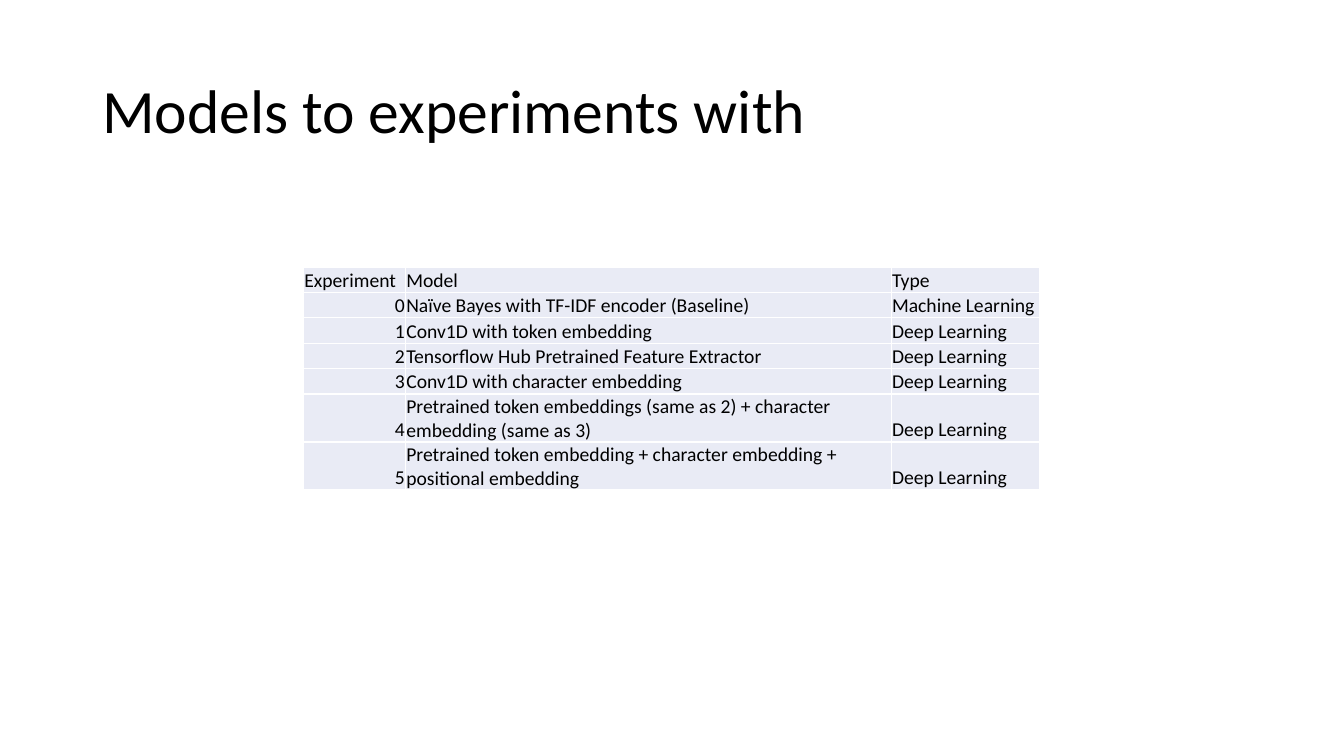
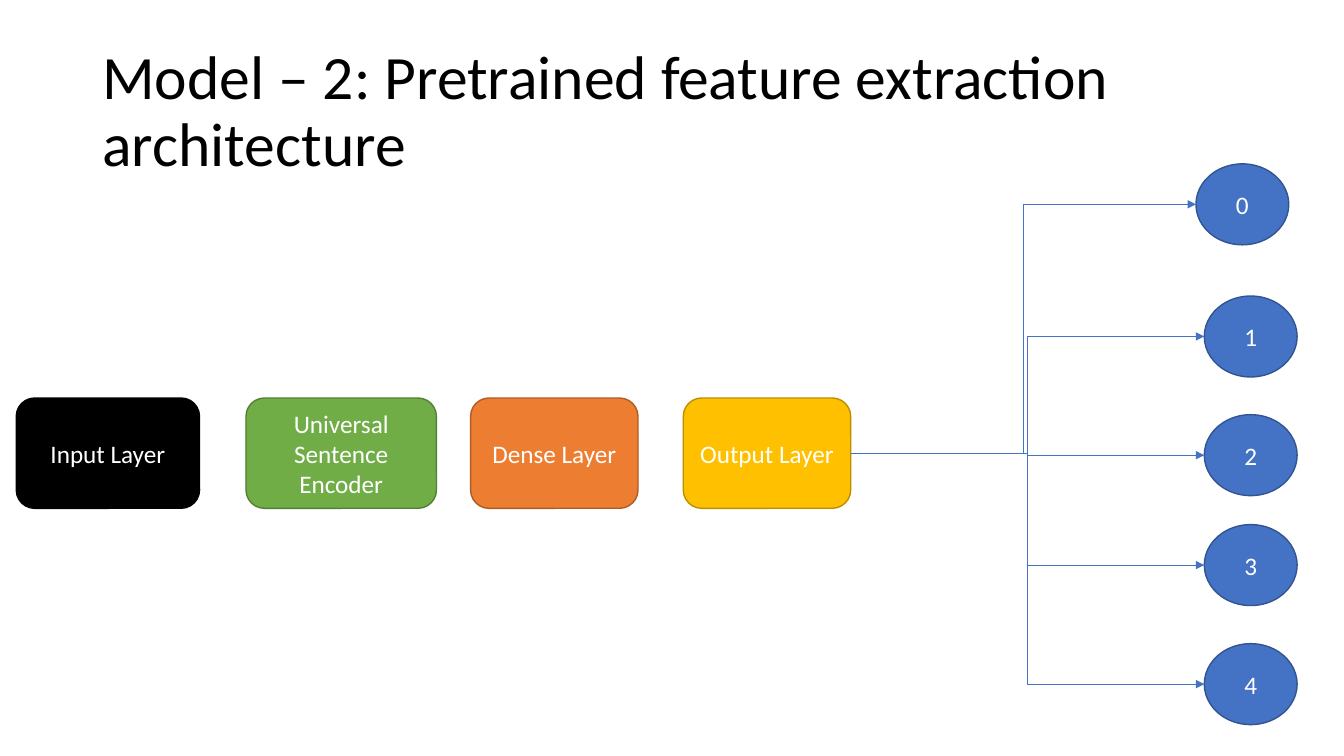
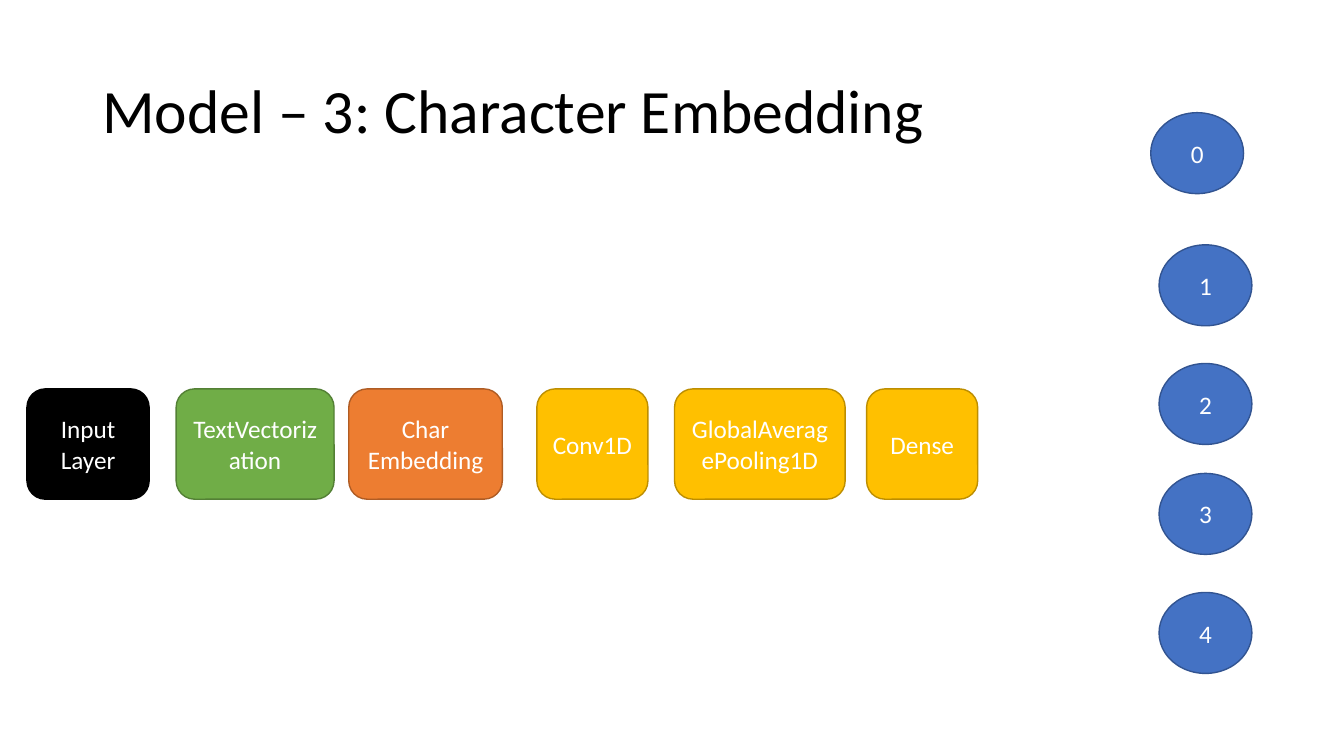
from dataclasses import dataclass

from pptx import Presentation
from pptx.dml.color import RGBColor
from pptx.enum.shapes import MSO_CONNECTOR, MSO_SHAPE
from pptx.enum.text import MSO_ANCHOR as Anchor, PP_ALIGN as Align
from pptx.oxml.ns import qn
from pptx.shapes.autoshape import Shape
from pptx.slide import Slide
from pptx.table import _Cell as Cell
from pptx.text.text import TextFrame
from pptx.util import Cm, Pt
from lxml.etree import SubElement

FONT = "Calibri"
BLACK, WHITE, TABLE_FILL = "000000", "FFFFFF", "E9EBF5"


@dataclass(frozen=True)
class Palette:
    """Fill and outline colours of a diagram shape."""
    fill: str
    line: str


INPUT = Palette(BLACK, BLACK)
GREEN = Palette("70AD47", "538035")
ORANGE = Palette("ED7D31", "AF5C24")
YELLOW = Palette("FFC000", "BD8E00")
BLUE = Palette("4472C4", "325491")


@dataclass(frozen=True)
class Layer:
    """A network layer in a row: label, left edge and width in cm."""
    label: str
    left: float
    width: float
    palette: Palette


LAYER_HEIGHT = 2.78
CLASS_WIDTH, CLASS_HEIGHT = 2.34, 2.04
# Offsets in cm of each output class from the first one
CLASS_OFFSETS = [(0, 0), (0.21, 3.33), (0.21, 6.32), (0.21, 9.09), (0.21, 12.09)]
RIGHT_SITE, OVAL_LEFT_SITE = 3, 2

FEATURE_LAYERS = [
    Layer("Input Layer", 0.41, 4.62, INPUT),
    Layer("Universal Sentence Encoder", 6.2, 4.8, GREEN),
    Layer("Dense Layer", 11.86, 4.22, ORANGE),
    Layer("Output Layer", 17.22, 4.22, YELLOW),
]
CHARACTER_LAYERS = [
    Layer("Input Layer", 0.68, 3.08, INPUT),
    Layer("TextVectorization", 4.44, 3.98, GREEN),
    Layer("Char Embedding", 8.79, 3.87, ORANGE),
    Layer("Conv1D", 13.53, 2.8, YELLOW),
    Layer("GlobalAveragePooling1D", 17, 4.3, YELLOW),
    Layer("Dense", 21.84, 2.8, YELLOW),
]

COLUMN_WIDTHS = [2.57, 12.24, 3.74]
ROW_HEIGHT = 0.64
HEADER = ("Experiment", "Model", "Type")
MODELS = [
    ("Naïve Bayes with TF-IDF encoder (Baseline)", "Machine Learning"),
    ("Conv1D with token embedding", "Deep Learning"),
    ("Tensorflow Hub Pretrained Feature Extractor", "Deep Learning"),
    ("Conv1D with character embedding", "Deep Learning"),
    ("Pretrained token embeddings (same as 2) + character embedding (same as 3)",
     "Deep Learning"),
    ("Pretrained token embedding + character embedding + positional embedding",
     "Deep Learning"),
]


def color(value: str) -> RGBColor:
    """Turn a hex string into a colour."""
    return RGBColor.from_string(value)


def write(frame: TextFrame, text: str, size: float, ink: str,
          align: Align = Align.LEFT) -> None:
    """Set one paragraph of text and format it."""
    frame.text = text
    frame.word_wrap = True
    paragraph = frame.paragraphs[0]
    paragraph.alignment = align
    font = paragraph.runs[0].font
    font.name, font.size = FONT, Pt(size)
    font.color.rgb = color(ink)


def add_titled_slide(presentation: Presentation, title: str) -> Slide:
    """Add a blank slide with the shared title style."""
    slide = presentation.slides.add_slide(presentation.slide_layouts[6])
    box = slide.shapes.add_textbox(Cm(2.33), Cm(1.01), Cm(29.21), Cm(3.68))
    frame = box.text_frame
    write(frame, title, 44, BLACK)
    frame.vertical_anchor = Anchor.MIDDLE
    frame.paragraphs[0].line_spacing = 0.9
    return slide


def add_node(slide: Slide, kind: MSO_SHAPE, left: float, top: float,
             width: float, height: float, label: str, palette: Palette) -> Shape:
    """Draw a labelled diagram shape."""
    shape = slide.shapes.add_shape(kind, Cm(left), Cm(top), Cm(width), Cm(height))
    shape.shadow.inherit = False
    shape.fill.solid()
    shape.fill.fore_color.rgb = color(palette.fill)
    shape.line.color.rgb = color(palette.line)
    shape.line.width = Pt(1)
    write(shape.text_frame, label, 18, WHITE, Align.CENTER)
    shape.text_frame.vertical_anchor = Anchor.MIDDLE
    return shape


def add_layers(slide: Slide, layers: list[Layer], top: float) -> list[Shape]:
    """Draw a row of network layers."""
    return [add_node(slide, MSO_SHAPE.ROUNDED_RECTANGLE, layer.left, top,
                     layer.width, LAYER_HEIGHT, layer.label, layer.palette)
            for layer in layers]


def add_classes(slide: Slide, left: float, top: float) -> list[Shape]:
    """Draw the column of numbered output classes."""
    return [add_node(slide, MSO_SHAPE.OVAL, left + across, top + down,
                     CLASS_WIDTH, CLASS_HEIGHT, str(number), BLUE)
            for number, (across, down) in enumerate(CLASS_OFFSETS)]


def add_arrow(slide: Slide, layer: Shape, oval: Shape) -> None:
    """Join the right side of a layer to the left side of an oval."""
    connector = slide.shapes.add_connector(MSO_CONNECTOR.ELBOW, 0, 0, 0, 0)
    connector.begin_connect(layer, RIGHT_SITE)
    connector.end_connect(oval, OVAL_LEFT_SITE)
    # Ovals have eight sites, so the end point is placed explicitly
    connector.end_x = oval.left
    connector.end_y = oval.top + oval.height // 2
    connector.line.color.rgb = color(BLUE.fill)
    connector.line.width = Pt(0.5)
    SubElement(connector.get_or_add_ln(), qn("a:tailEnd"), type="triangle")
    SubElement(connector._element.spPr, qn("a:effectLst"))


def style_cell(cell: Cell, text: str, align: Align) -> None:
    """Fill a table cell and give it white borders."""
    write(cell.text_frame, text, 14, BLACK, align)
    cell.vertical_anchor = Anchor.BOTTOM
    cell.margin_left = cell.margin_right = cell.margin_top = Cm(0.02)
    cell.margin_bottom = 0
    properties = cell._tc.get_or_add_tcPr()
    for side in ("a:lnL", "a:lnR", "a:lnT", "a:lnB"):
        border = SubElement(properties, qn(side), w=str(Pt(1)))
        fill = SubElement(border, qn("a:solidFill"))
        SubElement(fill, qn("a:srgbClr"), val=WHITE)
    cell.fill.solid()
    cell.fill.fore_color.rgb = color(TABLE_FILL)


def add_model_table(slide: Slide) -> None:
    """Draw the table of numbered experiments."""
    rows = [HEADER] + [(str(number), *model) for number, model in enumerate(MODELS)]
    table = slide.shapes.add_table(
        len(rows), len(HEADER), Cm(7.65), Cm(6.73),
        Cm(sum(COLUMN_WIDTHS)), Cm(ROW_HEIGHT * len(rows))).table
    table.first_row = table.horz_banding = False
    for column, width in zip(table.columns, COLUMN_WIDTHS):
        column.width = Cm(width)
    for row_index, row in enumerate(rows):
        table.rows[row_index].height = Cm(ROW_HEIGHT)
        for column_index, text in enumerate(row):
            is_number = row_index > 0 and column_index == 0
            style_cell(table.cell(row_index, column_index), text,
                       Align.RIGHT if is_number else Align.LEFT)


def main() -> None:
    """Build and save the presentation."""
    presentation = Presentation()
    presentation.slide_width, presentation.slide_height = Cm(33.87), Cm(19.05)

    slide = add_titled_slide(presentation, "Models to experiments with")
    add_model_table(slide)

    slide = add_titled_slide(
        presentation, "Model – 2: Pretrained feature extraction architecture")
    layers = add_layers(slide, FEATURE_LAYERS, 10.03)
    for oval in add_classes(slide, 30.14, 4.13):
        add_arrow(slide, layers[-1], oval)

    slide = add_titled_slide(presentation, "Model – 3: Character Embedding")
    add_layers(slide, CHARACTER_LAYERS, 9.8)
    add_classes(slide, 29, 2.84)

    presentation.save("out.pptx")


main()
